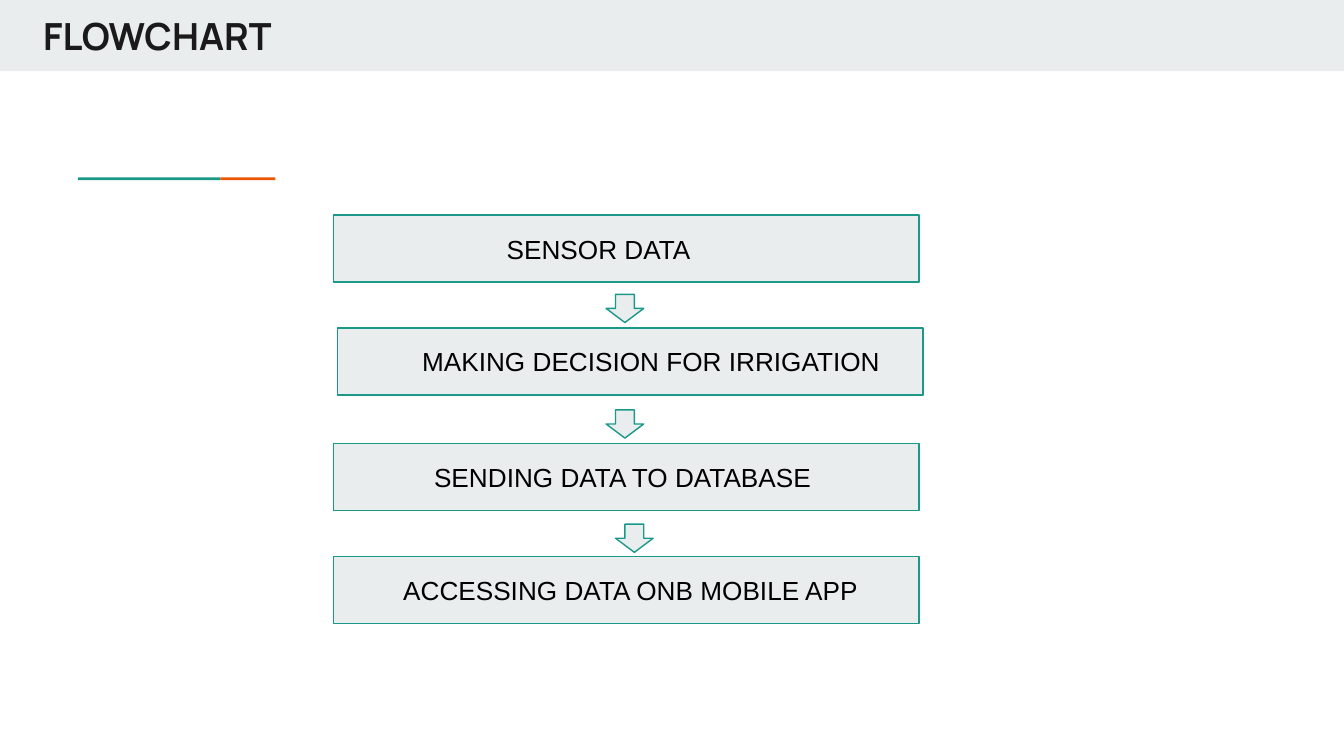
from pptx import Presentation
from pptx.dml.color import RGBColor
from pptx.enum.shapes import MSO_SHAPE
from pptx.enum.text import MSO_ANCHOR, PP_ALIGN
from pptx.util import Inches, Pt

TITLE = "FLOWCHART"
STEPS = [
    {"text": "SENSOR DATA", "left": 2.48, "top": 1.6, "indent": 1.29},
    {"text": "MAKING DECISION FOR IRRIGATION", "left": 2.51, "top": 2.44,
     "indent": 0.41, "align": PP_ALIGN.CENTER},
    {"text": "SENDING DATA TO DATABASE", "left": 2.48, "top": 3.3, "indent": 0.75},
    {"text": "ACCESSING DATA ONB MOBILE APP", "left": 2.48, "top": 4.14, "indent": 0.52},
]
ARROWS = [(4.51, 2.19), (4.51, 3.05), (4.58, 3.9)]
ACCENTS = [("teal", 0.58, 1.06), ("orange", 1.64, 0.41)]
COLORS = {"panel": "E9EDEE", "teal": "1A9988", "orange": "EB5600",
          "title": "1A1A1A", "text": "000000"}
STEP_SIZE = (4.36, 0.5)
ARROW_SIZE = (0.28, 0.21)
INSET = 0.1


def color(name):
    return RGBColor.from_string(COLORS[name])


def add_block(page, kind, left, top, width, height, fill="panel", line=None):
    block = page.shapes.add_shape(
        kind, Inches(left), Inches(top), Inches(width), Inches(height))
    block.shadow.inherit = False
    block.fill.solid()
    block.fill.fore_color.rgb = color(fill)
    if line:
        block.line.color.rgb = color(line)
        block.line.width = Pt(0.75)
    else:
        block.line.fill.background()
    return block


def write(shape, text, *, font="Arial", size=14, ink="text", bold=False,
          align=PP_ALIGN.LEFT, anchor=MSO_ANCHOR.MIDDLE, indent=INSET):
    frame = shape.text_frame
    frame.word_wrap = True
    frame.vertical_anchor = anchor
    frame.margin_left = Inches(indent)
    frame.margin_top = frame.margin_right = frame.margin_bottom = Inches(INSET)
    para = frame.paragraphs[0]
    para.alignment = align
    span = para.add_run()
    span.text = text
    span.font.name = font
    span.font.size = Pt(size)
    span.font.bold = bold
    span.font.color.rgb = color(ink)


def main():
    deck = Presentation()
    deck.slide_width = Inches(10)
    deck.slide_height = deck.slide_width * 9 // 16
    page = deck.slides.add_slide(deck.slide_layouts[5])

    add_block(page, MSO_SHAPE.RECTANGLE, 0, 0, 10, 0.53)
    for name, left, width in ACCENTS:
        add_block(page, MSO_SHAPE.RECTANGLE, left, 1.32, width, 0.02, fill=name)

    title = page.shapes.title
    title.left, title.top = Inches(0), Inches(0)
    title.width, title.height = Inches(3.15), Inches(0.38)
    write(title, TITLE, font="Manrope", size=20, ink="title", bold=True,
          anchor=MSO_ANCHOR.TOP, indent=0.32)
    title.element.getparent().append(title.element)

    for step in STEPS:
        box = add_block(page, MSO_SHAPE.RECTANGLE, step["left"], step["top"],
                        *STEP_SIZE, line="teal")
        write(box, step["text"], indent=step["indent"],
              align=step.get("align", PP_ALIGN.LEFT))

    for left, top in ARROWS:
        add_block(page, MSO_SHAPE.DOWN_ARROW, left, top, *ARROW_SIZE, line="teal")

    deck.save("out.pptx")


if __name__ == "__main__":
    main()
